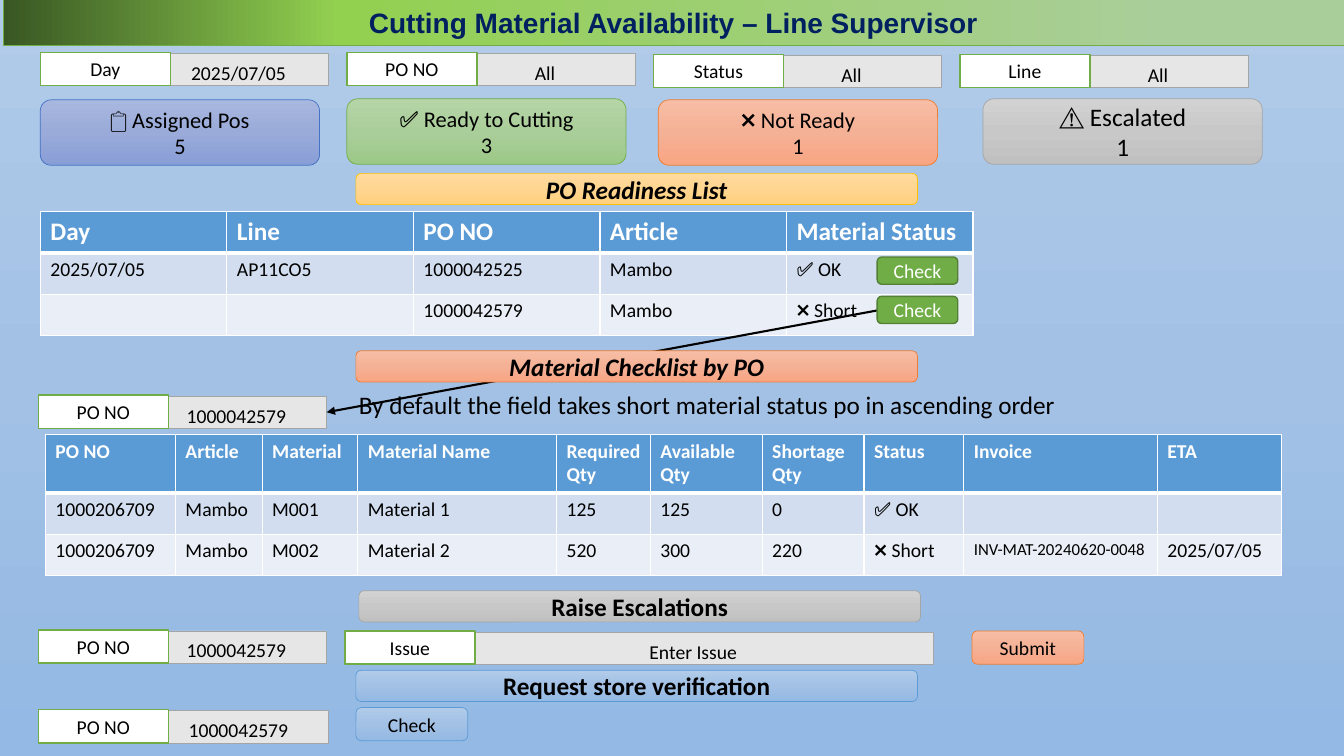
from dataclasses import dataclass

from lxml.etree import SubElement
from pptx import Presentation
from pptx.dml.color import RGBColor
from pptx.enum.dml import MSO_LINE
from pptx.enum.shapes import MSO_CONNECTOR, MSO_SHAPE
from pptx.enum.text import MSO_ANCHOR, MSO_AUTO_SIZE, PP_ALIGN
from pptx.oxml.ns import qn
from pptx.util import Inches, Pt


@dataclass(frozen=True)
class Theme:
    face: str = "Calibri"
    head_face: str = "Arial"
    title: int = 20
    large: int = 18
    card: int = 16
    base: int = 14
    small: int = 12
    ink: str = "000000"
    white: str = "FFFFFF"
    navy: str = "002060"
    edge: str = "A5A5A5"
    field: str = "E7E6E6"
    leaf: str = "70AD47"
    moss: str = "538035"
    head: str = "5B9BD5"
    bands: tuple = ("D2DEEF", "EAEFF7")
    # Each tone is an outline colour and the three stops of its gradient
    indigo: tuple = ("4472C4", "A8B7DF", "9AABD9", "889ED7")
    green: tuple = ("70AD47", "B5D5A7", "AACE9A", "9CC987")
    coral: tuple = ("ED7D31", "F7BDA5", "F5B196", "F8A582")
    grey: tuple = ("A5A5A5", "D2D2D2", "C8C8C8", "C0C0C0")
    gold: tuple = ("FFC000", "FFDB9E", "FFD590", "FFD07C")
    sky: tuple = ("5B9BD5", "B1CBE9", "A3C1E5", "93B9E4")
    bar: tuple = ("70AD47", "AACE9A", "92D050", "385723")


T = Theme()


def color(code):
    return RGBColor.from_string(code)


def blend(fill, node, tone, marks=(0, 50, 100), angle=270):
    """Three-stop gradient; node is the element that holds the fill."""
    fill.gradient()
    fill.gradient_angle = angle
    stops = node.find(".//" + qn("a:gsLst"))
    for stop in list(stops):
        stops.remove(stop)
    for mark, code in zip(marks, tone[1:]):
        stop = SubElement(stops, qn("a:gs"), pos=str(mark * 1000))
        SubElement(stop, qn("a:srgbClr"), val=code)


def style(para, size, code=T.ink, bold=False, slant=False, face=T.face):
    font = para.font
    font.name, font.size = face, Pt(size)
    font.bold, font.italic = bold, slant
    font.color.rgb = color(code)


def outline(shape, code, width):
    shape.line.color.rgb = color(code)
    shape.line.width = Pt(width)


def add_box(slide, at, text, fill, edge=None, width=0.5, size=T.base,
            kind=MSO_SHAPE.ROUNDED_RECTANGLE, **look):
    """Box with centred text; fill is a tone or a plain colour."""
    shape = slide.shapes.add_shape(kind, *map(Inches, at))
    shape.shadow.inherit = False
    if isinstance(fill, tuple):
        blend(shape.fill, shape._element, fill)
        edge = fill[0]
    else:
        shape.fill.solid()
        shape.fill.fore_color.rgb = color(fill)
    outline(shape, edge, width)
    frame = shape.text_frame
    frame.word_wrap = True
    frame.vertical_anchor = MSO_ANCHOR.MIDDLE
    frame.text = text
    for para in frame.paragraphs:
        para.alignment = PP_ALIGN.CENTER
        style(para, size, **look)
    return shape


def add_field(slide, left, top, label, value, width=2.86, shift=0):
    """Grey value box with a white label box over its left end."""
    box = add_box(slide, (left + shift, top + 0.01, width, 0.32), value,
                  T.field, T.edge, kind=MSO_SHAPE.RECTANGLE)
    frame = box.text_frame
    frame.margin_left = Inches(1.17)
    frame.margin_top, frame.margin_bottom = Inches(0.06), 0
    add_box(slide, (left, top, 1.29, 0.33), label, T.white, T.leaf, 1,
            kind=MSO_SHAPE.RECTANGLE)


def add_border(cell, below):
    props = cell._tc.get_or_add_tcPr()
    for side, width in zip("LRTB", (1, 1, 1, below)):
        line = SubElement(props, qn("a:ln" + side), w=str(Pt(width)))
        fill = SubElement(line, qn("a:solidFill"))
        SubElement(fill, qn("a:srgbClr"), val=T.white)


def add_grid(slide, left, top, cols, tall, head_size, rows):
    count = len(rows)
    table = slide.shapes.add_table(
        count, len(cols), Inches(left), Inches(top), Inches(sum(cols)),
        Inches(tall + 0.41 * (count - 1))).table
    for col, width in zip(table.columns, cols):
        col.width = Inches(width)
    for r, row in enumerate(rows):
        table.rows[r].height = Inches(0.41 if r else tall)
        for c, text in enumerate(row):
            cell = table.cell(r, c)
            add_border(cell, 1 if r else 3)
            cell.fill.solid()
            cell.fill.fore_color.rgb = color(T.bands[(r - 1) % 2] if r else T.head)
            # A slim right margin keeps long words whole
            cell.margin_right = Inches(0.04)
            cell.text = text
            size = T.small if text.startswith("INV-") else T.base
            para = cell.text_frame.paragraphs[0]
            if r:
                style(para, size)
            else:
                style(para, head_size, T.white, bold=True)


def add_arrow(slide, start, end):
    line = slide.shapes.add_connector(
        MSO_CONNECTOR.STRAIGHT, *map(Inches, start + end))
    outline(line, T.ink, 1.5)
    line.line.dash_style = MSO_LINE.SOLID
    props = line._element.spPr
    SubElement(props.find(qn("a:ln")), qn("a:tailEnd"), type="triangle")
    SubElement(props, qn("a:effectLst"))


def add_note(slide, at, text):
    frame = slide.shapes.add_textbox(*map(Inches, at)).text_frame
    frame.word_wrap = True
    frame.text = text
    style(frame.paragraphs[0], T.large)


def set_title(slide, text):
    title = slide.shapes.title
    title.left, title.top = Inches(0.03), Inches(-0.01)
    title.width, title.height = Inches(13.3), Inches(0.46)
    blend(title.fill, title._element, T.bar, (13, 75, 100), 180)
    outline(title, T.bar[0], 0.5)
    frame = title.text_frame
    frame.text = text
    frame.auto_size = MSO_AUTO_SIZE.NONE
    frame.vertical_anchor = MSO_ANCHOR.MIDDLE
    para = frame.paragraphs[0]
    para.alignment = PP_ALIGN.CENTER
    style(para, T.title, T.navy, bold=True, face=T.head_face)


def main():
    deck = Presentation()
    deck.slide_width, deck.slide_height = Inches(13.33), Inches(7.5)
    slide = deck.slides.add_slide(deck.slide_layouts[5])
    blend(slide.background.fill, slide._element, T.sky)
    set_title(slide, "Cutting Material Availability – Line Supervisor")

    # Filters
    filters = (("Day", "2025/07/05", 0.52), ("PO NO", "All", 0.52),
               ("Status", "All", 0.54), ("Line", "All", 0.54))
    for i, (label, value, top) in enumerate(filters):
        add_field(slide, 0.4 + 3.04 * i, top, label, value)

    # Summary cards
    cards = ((0.4, 0.99, "📋 Assigned Pos\n5", T.indigo, T.card),
             (3.44, 0.98, "✅ Ready to Cutting\n3", T.green, T.card),
             (6.53, 0.99, "❌ Not Ready\n1", T.coral, T.card),
             (9.75, 0.98, "⚠ Escalated\n1", T.grey, T.large))
    for left, top, text, tone, size in cards:
        add_box(slide, (left, top, 2.77, 0.65), text, tone, size=size)

    # Tables
    add_grid(slide, 0.4, 2.1, [1.85] * 5, 0.41, T.large, (
        ("Day", "Line", "PO NO", "Article", "Material Status"),
        ("2025/07/05", "AP11CO5", "1000042525", "Mambo", "✅ OK"),
        ("", "", "1000042579", "Mambo", "❌ Short")))
    cols = (1.29, 0.86, 0.95, 1.97, 0.93, 1.11, 1.01, 0.99, 1.92, 1.23)
    add_grid(slide, 0.45, 4.31, cols, 0.58, T.base, (
        ("PO NO", "Article", "Material", "Material Name", "Required Qty",
         "Available Qty", "Shortage Qty", "Status", "Invoice", "ETA"),
        ("1000206709", "Mambo", "M001", "Material 1", "125", "125", "0",
         "✅ OK", "", ""),
        ("1000206709", "Mambo", "M002", "Material 2", "520", "300", "220",
         "❌ Short", "INV-MAT-20240620-0048", "2025/07/05")))

    # Chosen order, its note and the arrow from the short row
    add_field(slide, 0.38, 3.92, "PO NO", "1000042579")
    add_note(slide, (3.46, 3.81, 8.15, 0.4), "By default the field takes "
             "short material status po in ascending order")
    add_arrow(slide, (8.7, 3.08), (3.24, 4.09))

    # Section banners
    banners = ((3.53, 1.72, "PO Readiness List", T.gold, True),
               (3.53, 3.48, "Material Checklist by PO", T.coral, True),
               (3.56, 5.86, "Raise Escalations", T.grey, False),
               (3.53, 6.65, "Request store verification", T.sky, False))
    for left, top, text, tone, slant in banners:
        add_box(slide, (left, top, 5.57, 0.31), text, tone, size=T.large,
                bold=True, slant=slant)

    # Entry forms
    add_field(slide, 0.38, 6.25, "PO NO", "1000042579")
    add_field(slide, 3.42, 6.26, "Issue", "Enter Issue", 5.84)
    add_field(slide, 0.38, 7.04, "PO NO", "1000042579", shift=0.02)

    # Buttons
    add_box(slide, (9.64, 6.26, 1.11, 0.33), "Submit", T.coral)
    add_box(slide, (3.53, 7.02, 1.11, 0.33), "Check", T.sky)
    for top in (2.55, 2.94):
        add_box(slide, (8.7, top, 0.8, 0.27), "Check", T.leaf, T.moss, 1,
                code=T.white)

    deck.save("out.pptx")


if __name__ == "__main__":
    main()
